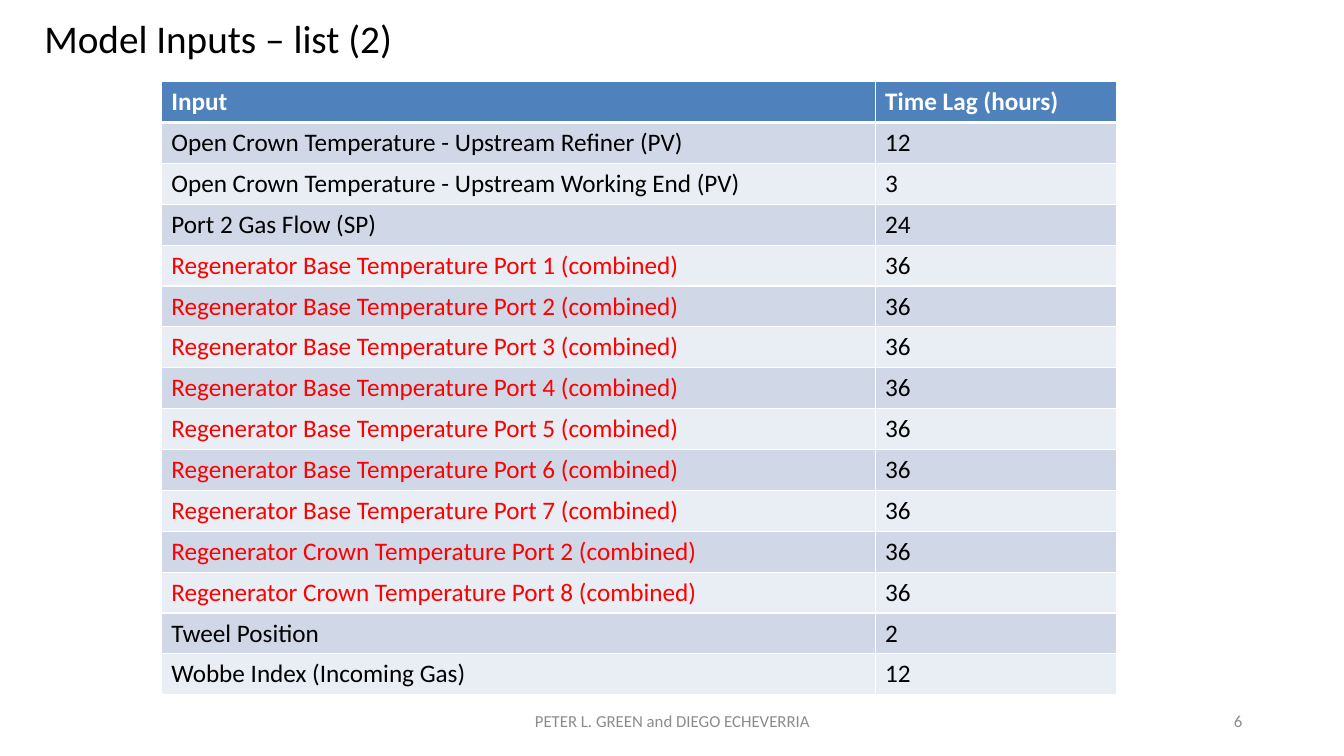
from pptx import Presentation
from pptx.dml.color import RGBColor
from pptx.enum.text import MSO_ANCHOR, PP_ALIGN
from pptx.oxml import parse_xml
from pptx.oxml.ns import nsdecls
from pptx.util import Inches, Pt

LEFT, CENTER, RIGHT = PP_ALIGN.LEFT, PP_ALIGN.CENTER, PP_ALIGN.RIGHT
TOP, MIDDLE = MSO_ANCHOR.TOP, MSO_ANCHOR.MIDDLE

BLACK = RGBColor(0x00, 0x00, 0x00)
WHITE = RGBColor(0xFF, 0xFF, 0xFF)
RED = RGBColor(0xFF, 0x00, 0x00)
GREY = RGBColor(0x8C, 0x8C, 0x8C)
HEADER_BLUE = RGBColor(0x4F, 0x81, 0xBD)
BANDS = (RGBColor(0xD0, 0xD8, 0xE8), RGBColor(0xE9, 0xED, 0xF4))

FONT = "Calibri"
COLUMN_WIDTHS = (7.08, 2.39)
ROW_HEIGHT = 0.4
HEADINGS = ("Input", "Time Lag (hours)")

# Each input: name, time lag, whether it is a combined (red) signal
INPUTS = [
    ("Open Crown Temperature - Upstream Refiner (PV)", 12, False),
    ("Open Crown Temperature - Upstream Working End (PV)", 3, False),
    ("Port 2 Gas Flow (SP)", 24, False),
    *[(f"Regenerator Base Temperature Port {n} (combined)", 36, True)
      for n in range(1, 8)],
    *[(f"Regenerator Crown Temperature Port {n} (combined)", 36, True)
      for n in (2, 8)],
    ("Tweel Position", 2, False),
    ("Wobbe Index (Incoming Gas)", 12, False),
]


def write(tf, text, size, color, align=LEFT, bold=False):
    tf.text = text
    p = tf.paragraphs[0]
    p.alignment = align
    font = p.runs[0].font
    font.name, font.size, font.bold = FONT, Pt(size), bold
    font.color.rgb = color


def place(sp, left, top, width, height, anchor):
    sp.left, sp.top = Inches(left), Inches(top)
    sp.width, sp.height = Inches(width), Inches(height)
    sp.text_frame.word_wrap = True
    sp.text_frame.vertical_anchor = anchor


def add_title(slide, text):
    sp = slide.shapes.title
    place(sp, 0.34, 0.09, 7.23, 0.57, TOP)
    write(sp.text_frame, text, 28, BLACK)


def add_footer(slide, text, left, width, align):
    sp = slide.shapes.add_textbox(0, 0, 0, 0)
    place(sp, left, 6.95, width, 0.4, MIDDLE)
    write(sp.text_frame, text, 12, GREY, align)


def set_borders(cell, top, bottom):
    tcPr = cell._tc.get_or_add_tcPr()
    for side, width in (("L", 1), ("R", 1), ("T", top), ("B", bottom)):
        tcPr.append(parse_xml(
            f'<a:ln{side} {nsdecls("a")} w="{Pt(width)}"><a:solidFill>'
            f'<a:srgbClr val="{WHITE}"/></a:solidFill></a:ln{side}>'))


def fill_row(table, row, texts, colors, fill):
    header = row == 0
    for col, (text, color) in enumerate(zip(texts, colors)):
        cell = table.cell(row, col)
        write(cell.text_frame, text, 18, color, bold=header)
        # The line under the header is thicker than the rest
        set_borders(cell, 3 if row == 1 else 1, 3 if header else 1)
        cell.fill.solid()
        cell.fill.fore_color.rgb = fill


def add_inputs_table(slide, left, top):
    rows = len(INPUTS) + 1
    table = slide.shapes.add_table(
        rows, len(HEADINGS), Inches(left), Inches(top),
        Inches(sum(COLUMN_WIDTHS)), Inches(rows * ROW_HEIGHT)).table
    for column, width in zip(table.columns, COLUMN_WIDTHS):
        column.width = Inches(width)

    fill_row(table, 0, HEADINGS, (WHITE, WHITE), HEADER_BLUE)
    for i, (name, lag, combined) in enumerate(INPUTS):
        colors = (RED if combined else BLACK, BLACK)
        fill_row(table, i + 1, (name, str(lag)), colors, BANDS[i % 2])


def main():
    prs = Presentation()
    prs.slide_width, prs.slide_height = Inches(13.33), Inches(7.5)
    slide = prs.slides.add_slide(prs.slide_layouts.get_by_name("Title Only"))

    add_title(slide, "Model Inputs – list (2)")
    add_inputs_table(slide, 1.6, 0.81)

    # Footer and slide number
    add_footer(slide, "PETER L. GREEN and DIEGO ECHEVERRIA", 4.42, 4.5, CENTER)
    add_footer(slide, "6", 9.42, 3, RIGHT)

    prs.save("out.pptx")


if __name__ == "__main__":
    main()
